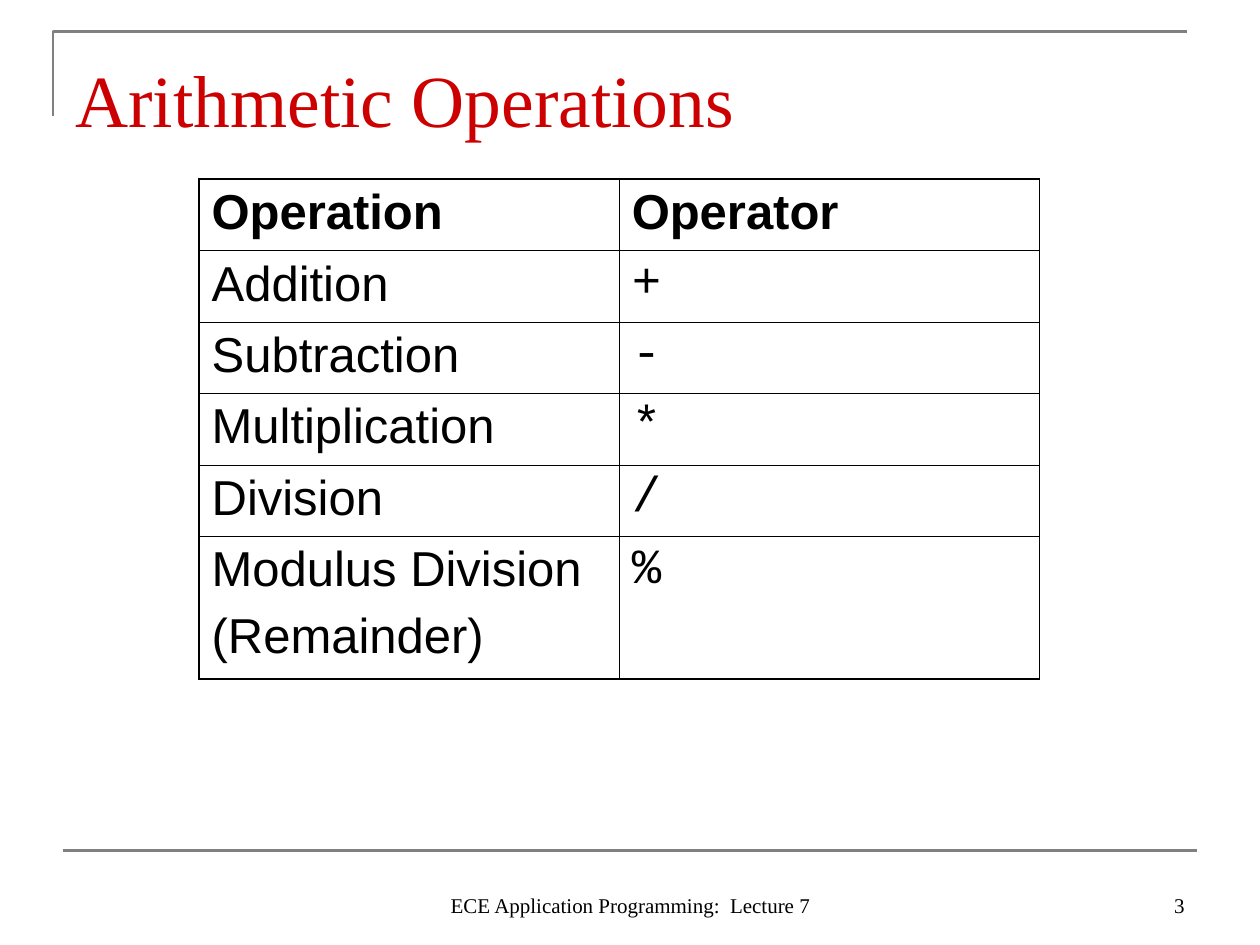
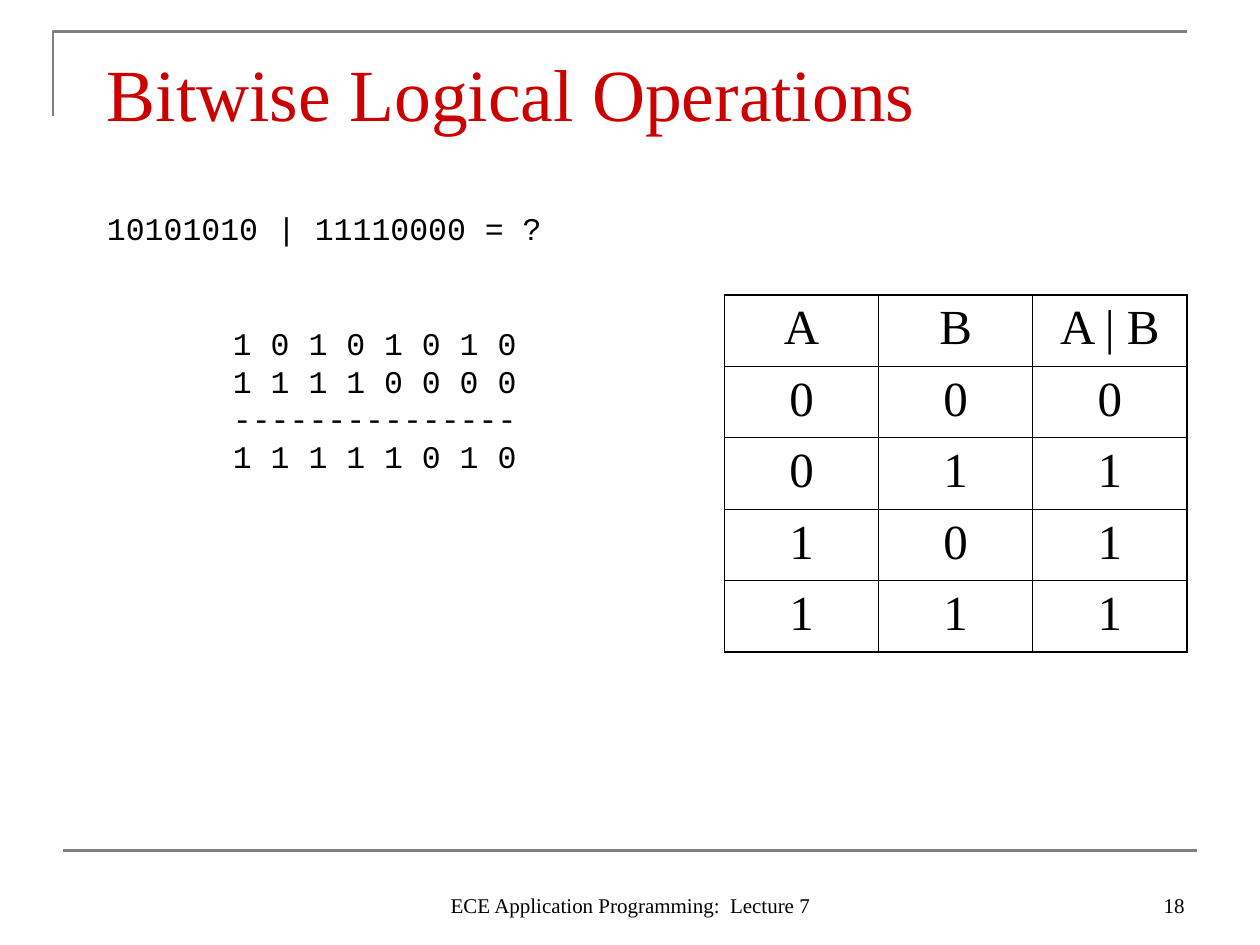
from pptx import Presentation
from pptx.dml.color import RGBColor
from pptx.enum.shapes import MSO_CONNECTOR
from pptx.enum.text import MSO_ANCHOR, PP_ALIGN
from pptx.oxml.ns import qn
from pptx.util import Inches, Pt
from lxml import etree

COLORS = {"title": "CC0000", "text": "000000", "rule": "808080", "border": "000000"}
SERIF, SANS, MONO = "Times New Roman", "Arial", "Courier New"
FOOTER = "ECE Application Programming:  Lecture 7"
ROW_HEIGHT = 2.83 / 5
OUTER, INNER = 1.08, 0.45  # table border widths in points


def rgb(name):
    return RGBColor.from_string(COLORS[name])


def style_paragraph(p, size, font, color="text", bold=False, align=PP_ALIGN.LEFT, before=0):
    p.alignment = align
    p.space_before = Pt(before)
    for r in p.runs:
        r.font.size = Pt(size)
        r.font.name = font
        r.font.bold = bold
        r.font.color.rgb = rgb(color)


def add_text(s, box, text, size, font, color="text", align=PP_ALIGN.LEFT,
             anchor=MSO_ANCHOR.TOP, top_inset=0.05):
    tf = s.shapes.add_textbox(*map(Inches, box)).text_frame
    tf.word_wrap = True
    tf.vertical_anchor = anchor
    tf.margin_top = Inches(top_inset)
    tf.text = text
    for p in tf.paragraphs:
        style_paragraph(p, size, font, color, align=align)
    return tf


# Frame, title and footer shared by the slides
def add_frame(s):
    builder = s.shapes.build_freeform(Inches(0.42), Inches(0.92))
    corner = [(Inches(0.42), Inches(0.25)), (Inches(9.42), Inches(0.25))]
    builder.add_line_segments(corner, close=False)
    sp = builder.convert_to_shape()
    sp.shadow.inherit = False
    sp.fill.background()

    rule = s.shapes.add_connector(MSO_CONNECTOR.STRAIGHT, Inches(0.5), Inches(6.75),
                                  Inches(9.5), Inches(6.75))
    etree.SubElement(rule._element.spPr, qn("a:effectLst"))
    for shape in (sp, rule):
        shape.line.color.rgb = rgb("rule")
        shape.line.width = Pt(1.5)


def new_slide(prs, title, title_box, number):
    s = prs.slides.add_slide(prs.slide_layouts[6])
    add_frame(s)
    add_text(s, title_box, title, 42, SERIF, "title", top_inset=0.13)
    add_text(s, (3.42, 6.83, 3.17, 0.5), FOOTER, 12, SERIF,
             align=PP_ALIGN.CENTER, anchor=MSO_ANCHOR.BOTTOM)
    add_text(s, (7.17, 6.83, 2.33, 0.5), str(number), 12, SERIF,
             align=PP_ALIGN.RIGHT, anchor=MSO_ANCHOR.BOTTOM)
    return s


# Ruled tables
def set_border(cell, side, width):
    ln = etree.SubElement(cell._tc.get_or_add_tcPr(), qn("a:ln" + side), w=str(Pt(width)))
    fill = etree.SubElement(ln, qn("a:solidFill"))
    etree.SubElement(fill, qn("a:srgbClr"), val=COLORS["border"])


def add_grid(s, left, top, width, rows, heights, fonts, align, bold_header=False):
    n_rows, n_cols = len(rows), len(rows[0])
    frame = s.shapes.add_table(n_rows, n_cols, Inches(left), Inches(top),
                               Inches(width), Inches(sum(heights)))
    table = frame.table
    table.first_row = table.horz_banding = False
    for col in table.columns:
        col.width = Inches(width / n_cols)
    for i, row in enumerate(rows):
        table.rows[i].height = Inches(heights[i])
        for j, text in enumerate(row):
            cell = table.cell(i, j)
            cell.text = text
            font = fonts[j] if i else fonts[0]
            for p in cell.text_frame.paragraphs:
                style_paragraph(p, 28, font, bold=bold_header and i == 0,
                                align=align, before=7)
            edges = {"L": j == 0, "R": j == n_cols - 1, "T": i == 0, "B": i == n_rows - 1}
            for side, is_outer in edges.items():
                set_border(cell, side, OUTER if is_outer else INNER)
            cell.fill.background()


def arithmetic_slide(prs):
    s = new_slide(prs, "Arithmetic Operations", (0.5, 0.3, 9, 0.78), 3)
    rows = [("Operation", "Operator"), ("Addition", "+"), ("Subtraction", "-"),
            ("Multiplication", "*"), ("Division", "/"),
            ("Modulus Division\n(Remainder)", "%")]
    add_grid(s, 1.58, 1.42, 6.67, rows, [ROW_HEIGHT] * 5 + [1.13],
             (SANS, MONO), PP_ALIGN.LEFT, bold_header=True)


def bitwise_slide(prs):
    s = new_slide(prs, "Bitwise Logical Operations", (0.75, 0.25, 8.5, 0.92), 18)

    # Worked example: the question, then the indented sum
    work = "\v".join(["1 0 1 0 1 0 1 0", "1 1 1 1 0 0 0 0", "-" * 15, "1 1 1 1 1 0 1 0"])
    tf = add_text(s, (0.75, 1.58, 5.25, 2.67), "10101010 | 11110000 = ?\n" + work,
                  18, MONO, top_inset=0.08)
    question, answer = tf.paragraphs
    for p in (question, answer):
        p.line_spacing = Pt(21.6)
    question.space_before = Pt(11.2)
    answer.space_before = Pt(44)
    answer._p.get_or_add_pPr().set("marL", str(Inches(1)))

    # Truth table of the OR operator
    rows = [("A", "B", "A | B")]
    rows += [(str(a), str(b), str(a | b)) for a in (0, 1) for b in (0, 1)]
    add_grid(s, 5.75, 2.34, 3.67, rows, [ROW_HEIGHT] * 5, (SERIF,) * 3, PP_ALIGN.CENTER)


def main():
    prs = Presentation()
    prs.slide_width, prs.slide_height = Inches(10), Inches(7.5)
    arithmetic_slide(prs)
    bitwise_slide(prs)
    prs.save("out.pptx")


main()
